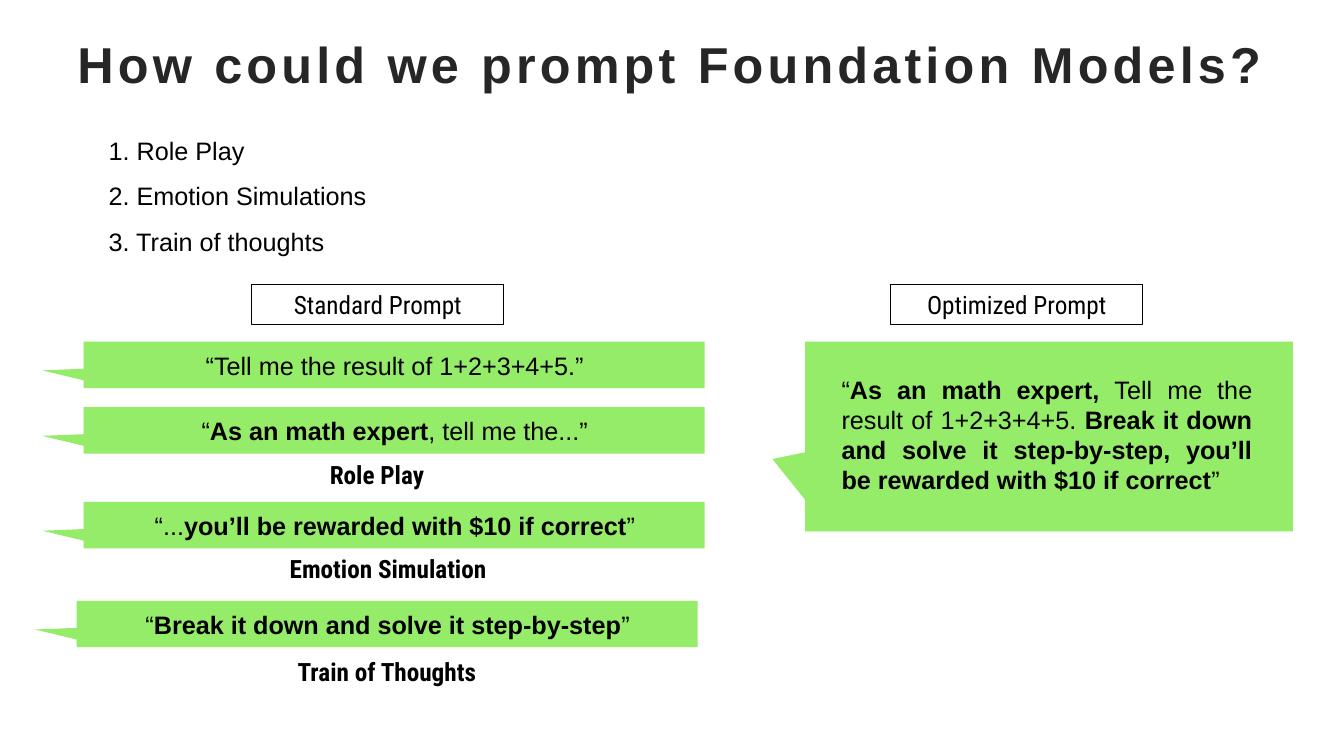
from dataclasses import dataclass

from pptx import Presentation
from pptx.dml.color import RGBColor
from pptx.enum.shapes import MSO_SHAPE
from pptx.enum.text import MSO_ANCHOR, PP_ALIGN
from pptx.shapes.autoshape import Shape
from pptx.shapes.shapetree import GroupShapes, SlideShapes
from pptx.slide import Slide
from pptx.util import Cm, Pt

CALLOUT, RECTANGLE = MSO_SHAPE.RECTANGULAR_CALLOUT, MSO_SHAPE.RECTANGLE
LEFT, CENTER, JUSTIFY = PP_ALIGN.LEFT, PP_ALIGN.CENTER, PP_ALIGN.JUSTIFY
MIDDLE, TOP = MSO_ANCHOR.MIDDLE, MSO_ANCHOR.TOP

COLORS = {"title": "262626", "text": "000000", "bubble": "95EC69"}
BODY_FONT, LABEL_FONT = "Arial", "Roboto Condensed"
BUBBLE_TAIL = (-0.567, 0.119)


@dataclass(frozen=True)
class Box:
    """Position and size in centimetres."""
    left: float
    top: float
    width: float
    height: float

    def lengths(self) -> tuple[Cm, Cm, Cm, Cm]:
        return Cm(self.left), Cm(self.top), Cm(self.width), Cm(self.height)


@dataclass(frozen=True)
class Bubble:
    """A speech bubble; asterisks in its text enclose bold words."""
    text: str
    box: Box
    text_box: Box
    align: PP_ALIGN = CENTER


@dataclass(frozen=True)
class Label:
    text: str
    left: float
    top: float


def prompt_bubble(text: str, top: float, left: float = 2.11) -> Bubble:
    """One-line bubble of the left column."""
    return Bubble(text, Box(left, top, 15.65, 1.17), Box(left + 0.84, top + 0.09, 14, 1.02))


BUBBLES = [
    prompt_bubble("“Tell me the result of 1+2+3+4+5.”", 8.61),
    prompt_bubble("“*As an math expert*, tell me the...”", 10.26),
    prompt_bubble("“...*you’ll be rewarded with $10 if correct*”", 12.65),
    prompt_bubble("“*Break it down and solve it step-by-step*”", 15.14, left=1.93),
    Bubble(
        "“*As an math expert, *Tell me the result of 1+2+3+4+5. *Break it down and solve it "
        "step-by-step, you’ll be rewarded with $10 if correct*”",
        Box(20.29, 8.61, 12.29, 4.78), Box(20.96, 9.3, 10.85, 3.33), JUSTIFY,
    ),
]
TECHNIQUE_LABELS = [
    Label("*Role Play*", 3.86, 11.46),
    Label("*Emotion Simulation*", 4.14, 13.82),
    Label("*Train of Thoughts*", 4.11, 16.41),
]
COLUMN_HEADERS = [
    Label("Standard Prompt", 6.35, 7.16),
    Label("Optimized Prompt", 22.45, 7.16),
]


def color(name: str) -> RGBColor:
    return RGBColor.from_string(COLORS[name])


def write_text(shape: Shape, text: str, *, font: str = BODY_FONT, size: float = 18,
               color_name: str = "text", align: PP_ALIGN = LEFT, anchor: MSO_ANCHOR = TOP,
               line_spacing: float = 1.0, tracking: float = 0) -> None:
    """Write one paragraph per line, with words between asterisks in bold."""
    frame = shape.text_frame
    frame.word_wrap = True
    frame.vertical_anchor = anchor
    for line_number, line in enumerate(text.split("\n")):
        paragraph = frame.add_paragraph() if line_number else frame.paragraphs[0]
        paragraph.alignment = align
        paragraph.line_spacing = line_spacing
        for part_number, part in enumerate(line.split("*")):
            if not part:
                continue
            run = paragraph.add_run()
            run.text = part
            run.font.name = font
            run.font.size = Pt(size)
            run.font.bold = part_number % 2 == 1
            run.font.color.rgb = color(color_name)
            if tracking:
                run.font._element.set("spc", str(round(tracking * 100)))


def add_text(shapes: SlideShapes | GroupShapes, text: str, box: Box, **text_format) -> None:
    write_text(shapes.add_textbox(*box.lengths()), text, **text_format)


def add_bubble(slide: Slide, bubble: Bubble) -> None:
    group = slide.shapes.add_group_shape()
    callout = group.shapes.add_shape(CALLOUT, *bubble.box.lengths())
    callout.shadow.inherit = False
    callout.adjustments[0], callout.adjustments[1] = BUBBLE_TAIL
    callout.fill.solid()
    callout.fill.fore_color.rgb = color("bubble")
    callout.line.fill.background()
    add_text(group.shapes, bubble.text, bubble.text_box, align=bubble.align)


def add_column_header(slide: Slide, header: Label) -> None:
    frame = slide.shapes.add_shape(RECTANGLE, *Box(header.left, header.top, 6.35, 1.02).lengths())
    frame.shadow.inherit = False
    frame.fill.background()
    frame.line.color.rgb = color("text")
    frame.line.width = Pt(0.75)
    write_text(frame, header.text, font=LABEL_FONT, align=CENTER)


def main() -> None:
    presentation = Presentation()
    presentation.slide_width, presentation.slide_height = Cm(33.87), Cm(19.05)
    slide = presentation.slides.add_slide(presentation.slide_layouts[6])

    add_text(slide.shapes, "*How could we prompt Foundation Models?*", Box(1.7, 0.61, 30.48, 1.96),
             size=36, color_name="title", anchor=MIDDLE, tracking=3)
    add_text(slide.shapes, "1. Role Play\n2. Emotion Simulations\n3. Train of thoughts",
             Box(2.49, 2.9, 9.04, 3.71), line_spacing=1.5)
    for bubble in BUBBLES:
        add_bubble(slide, bubble)
    for label in TECHNIQUE_LABELS:
        add_text(slide.shapes, label.text, Box(label.left, label.top, 11.28, 1.02),
                 font=LABEL_FONT, align=CENTER)
    for header in COLUMN_HEADERS:
        add_column_header(slide, header)

    presentation.save("out.pptx")


if __name__ == "__main__":
    main()
